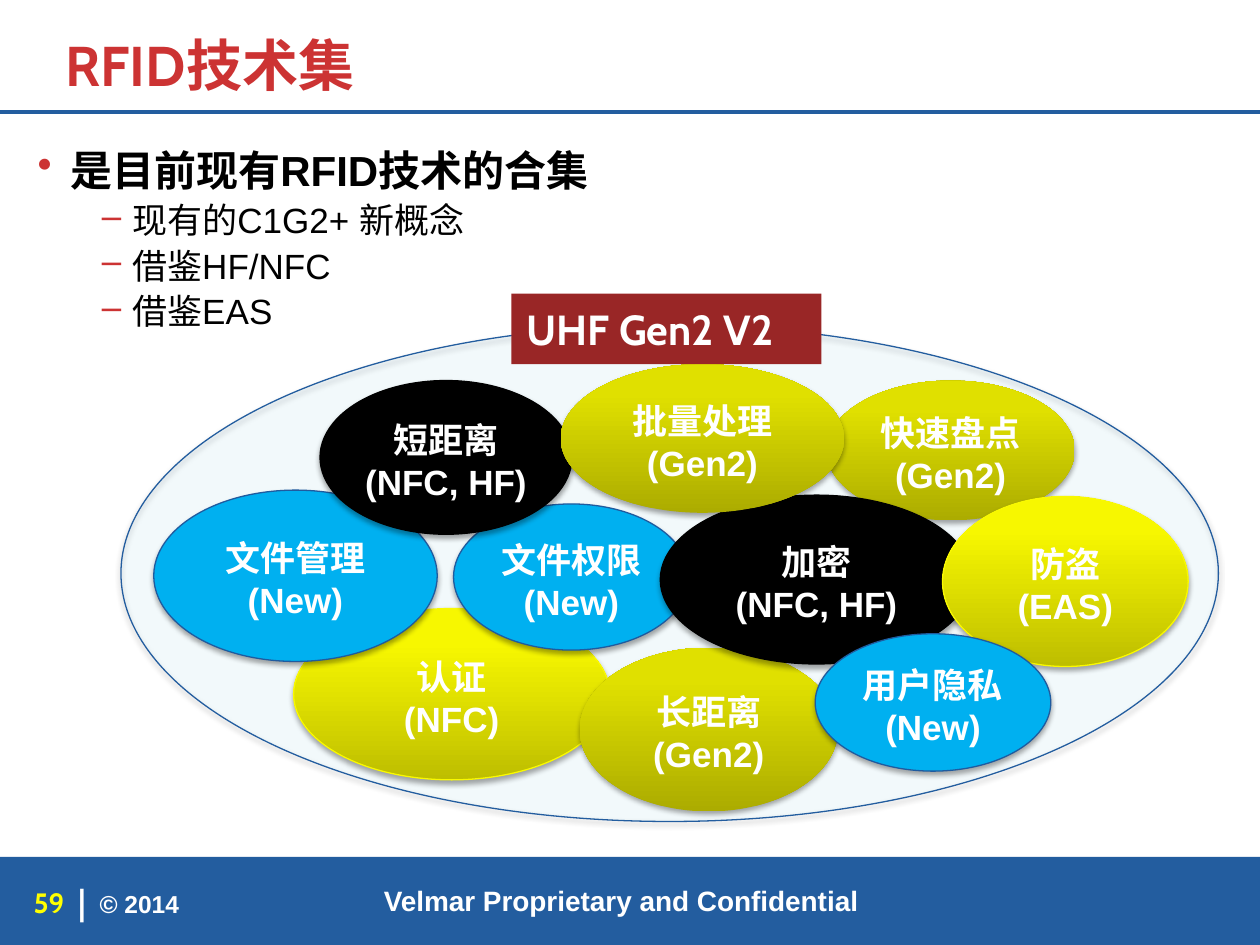
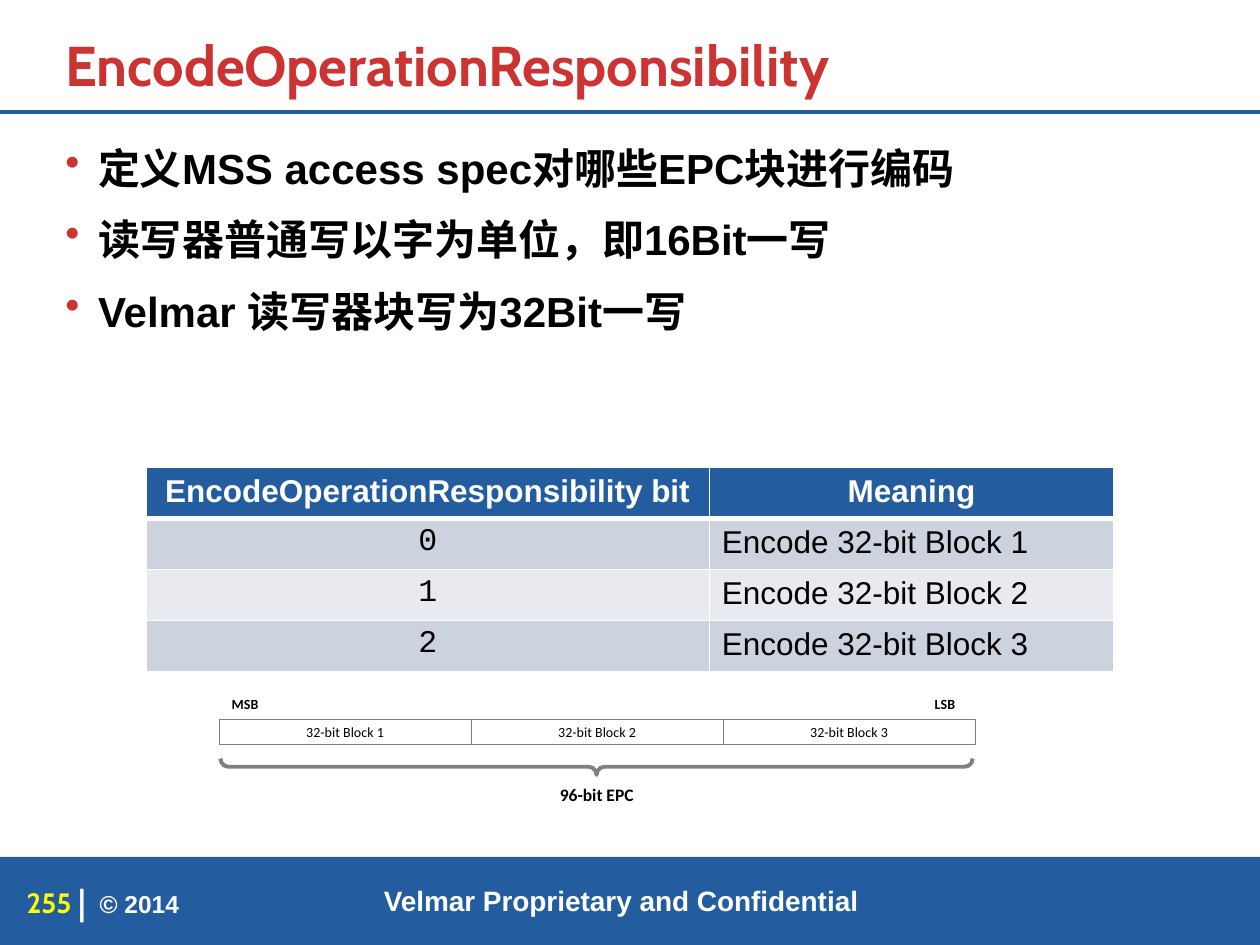
from lxml import etree
from pptx import Presentation
from pptx import util as u
from pptx.dml.color import RGBColor
from pptx.enum import shapes, text
from pptx.oxml import ns

Inches, Pt = u.Inches, u.Pt
SHAPE, ALIGN, ANCHOR = shapes.MSO_SHAPE, text.PP_ALIGN, text.MSO_ANCHOR
C = {
    "blue": "235D9F", "red": "CC3333", "dark_red": "992626", "white": "FFFFFF",
    "black": "000000", "page": "FFFF00", "sky": "00B0F0", "sky_line": "1F5B9F",
    "olive": "E0E000", "olive_low": "ACAC00", "yellow": "F7F700",
    "yellow_low": "BEBE00", "yellow_line": "F9F900", "gray": "808080",
    "row_odd": "CDD2DF", "row_even": "E8EAF0",
}


def sub(parent, tag, **attrs):
    return etree.SubElement(parent, ns.qn(tag), {k: str(v) for k, v in attrs.items()})


def write(sp, lines, size, color, font="Arial", bold=True, align=ALIGN.LEFT,
          anchor=ANCHOR.MIDDLE, insets=(0, 0, 0, 0), wrap=True):
    tf = sp.text_frame
    tf.text = lines
    tf.word_wrap = wrap
    tf.vertical_anchor = anchor
    tf.margin_left, tf.margin_top, tf.margin_right, tf.margin_bottom = map(Inches, insets)
    for p in tf.paragraphs:
        p.alignment = align
        for r in p.runs:
            r.font.size, r.font.name, r.font.bold = Pt(size), font, bold
            r.font.color.rgb = RGBColor.from_string(C[color])
    return tf


prs = Presentation()
prs.slide_width, prs.slide_height = Inches(10), Inches(7.5)
PAD = (0.1, 0.05, 0.1, 0.05)

decks = [
    ("59", "RFID技术集", (0.2, 1.1, 9.48, 1.58), [
        (0, "是目前现有RFID技术的合集"),
        (1, "现有的C1G2+ 新概念"),
        (1, "借鉴HF/NFC"),
        (1, "借鉴EAS"),
    ]),
    ("255", "EncodeOperationResponsibility", (0.42, 1.08, 9.24, 5.58), [
        (0, "定义MSS access spec对哪些EPC块进行编码"),
        (0, "读写器普通写以字为单位，即16Bit一写"),
        (0, "Velmar 读写器块写为32Bit一写"),
    ]),
]
levels = [("•", 0.26, -0.26, 12, 24, True), ("–", 0.75, -0.24, 2, 20, False)]

for number, title, body_box, bullets in decks:
    s = prs.slides.add_slide(prs.slide_layouts[6])
    band = s.shapes.add_shape(SHAPE.RECTANGLE, 0, Inches(6.8), Inches(10), Inches(0.7))
    band.shadow.inherit = False
    band.fill.solid()
    band.fill.fore_color.rgb = RGBColor.from_string(C["blue"])
    band.line.fill.background()

    for box, words, size, color, font, align in [
        ((2.84, 7.01, 4.18, 0.27), "Velmar Proprietary and Confidential", 16, "white", "Arial", ALIGN.CENTER),
        ((0.79, 7.05, 1.67, 0.25), "© 2014", 14, "white", "Arial", ALIGN.LEFT),
        ((0.14, 7.04, 0.5, 0.25), number, 16, "page", "Cabin", ALIGN.CENTER),
        ((0.52, 7.04, 0.26, 0.23), "|", 20, "white", "Cabin", ALIGN.CENTER),
    ]:
        write(s.shapes.add_textbox(*map(Inches, box)), words, size, color, font, align=align)

    rule = s.shapes.add_connector(shapes.MSO_CONNECTOR.STRAIGHT, 0, Inches(0.89), Inches(10), Inches(0.89))
    rule.line.color.rgb = RGBColor.from_string(C["blue"])
    rule.line.width = Pt(2.25)
    sub(rule._element.spPr, "a:effectLst")

    sp = s.shapes.add_textbox(Inches(0.42), Inches(0.04), Inches(9.24), Inches(0.79))
    tf = write(sp, title, 32, "red", "Cabin", anchor=ANCHOR.BOTTOM, insets=PAD)
    tf.paragraphs[0].line_spacing = 0.85

    sp = s.shapes.add_textbox(*map(Inches, body_box))
    tf = write(sp, "\n".join(words for _, words in bullets), 24, "black", anchor=ANCHOR.TOP, insets=PAD)
    for i, (p, (level, _)) in enumerate(zip(tf.paragraphs, bullets)):
        mark, left, indent, before, size, bold = levels[level]
        p.level = level
        p.space_before = Pt(before if i else 0)
        pPr = p._p.get_or_add_pPr()
        pPr.set("marL", str(Inches(left)))
        pPr.set("indent", str(Inches(indent)))
        sub(sub(pPr, "a:buClr"), "a:srgbClr", val=C["red"])
        sub(pPr, "a:buChar", char=mark)
        for r in p.runs:
            r.font.size, r.font.bold = Pt(size), bold

s = prs.slides[0]
kinds = {
    "set": ("sky", None, "blue"),
    "yellow": ("yellow", "yellow_low", "yellow_line"),
    "olive": ("olive", "olive_low", None),
    "sky": ("sky", None, "sky_line"),
    "black": ("black", None, "black"),
}
ovals = [
    ("set", (0.96, 2.58, 8.71, 3.94), ""),
    ("yellow", (2.33, 4.83, 2.51, 1.36), "认证\v(NFC)"),
    ("olive", (4.6, 5.14, 2.05, 1.3), "长距离(Gen2)"),
    ("sky", (1.22, 3.89, 2.25, 1.36), "文件管理(New)"),
    ("sky", (3.6, 4, 1.87, 1.16), "文件权限(New)"),
    ("olive", (6.56, 3.02, 1.97, 1.11), "快速盘点(Gen2)"),
    ("black", (2.54, 3.02, 2, 1.22), "短距离\v(NFC, HF)"),
    ("black", (5.24, 3.93, 2.48, 1.34), "加密\v(NFC, HF)"),
    ("olive", (4.45, 2.89, 2.25, 1.18), "批量处理(Gen2)"),
    ("yellow", (7.48, 3.94, 1.95, 1.35), "防盗\v(EAS)"),
    ("sky", (6.47, 5.03, 1.87, 1.09), "用户隐私(New)"),
]
for kind, box, words in ovals:
    top, low, edge = kinds[kind]
    sp = s.shapes.add_shape(SHAPE.OVAL, *map(Inches, box))
    sp.shadow.inherit = False
    if low:
        sp.fill.gradient()
        sp.fill.gradient_angle = 90
        for stop, color, pos in zip(sp.fill.gradient_stops, (low, top), (0, 0.8)):
            stop.color.rgb = RGBColor.from_string(C[color])
            stop.position = pos
    else:
        sp.fill.solid()
        sp.fill.fore_color.rgb = RGBColor.from_string(C[top])
    if edge:
        sp.line.color.rgb = RGBColor.from_string(C[edge])
        sp.line.width = Pt(0.75)
    else:
        sp.line.fill.background()
    spPr = sp._element.spPr
    shadow = sub(spPr.find(ns.qn("a:effectLst")), "a:outerShdw", blurRad=Pt(3.1), dist=Pt(1.8),
                 dir=5400000, rotWithShape=0)
    sub(sub(shadow, "a:srgbClr", val=C["black"]), "a:alpha", val=35000)
    if words:
        write(sp, words, 20, "white", align=ALIGN.CENTER, insets=(0, 0.05, 0, 0))
    else:
        sub(spPr.find(ns.qn("a:solidFill"))[0], "a:alpha", val=4000)

sp = s.shapes.add_shape(SHAPE.RECTANGLE, Inches(4.06), Inches(2.33), Inches(2.46), Inches(0.56))
sp.shadow.inherit = False
sp.fill.solid()
sp.fill.fore_color.rgb = RGBColor.from_string(C["dark_red"])
sp.line.fill.background()
write(sp, "UHF Gen2 V2", 24, "white", "Cabin", anchor=ANCHOR.TOP, insets=(0.12, 0.08, 0.12, 0.08))

s = prs.slides[1]
rows = [("EncodeOperationResponsibility bit", "Meaning")]
rows += [(str(i), f"Encode 32-bit Block {i + 1}") for i in range(3)]
tbl = s.shapes.add_table(4, 2, Inches(1.16), Inches(3.71), Inches(7.68), Inches(1.62)).table
for col, width in zip(tbl.columns, (4.47, 3.21)):
    col.width = Inches(width)
for i, row in enumerate(rows):
    tbl.rows[i].height = Inches(0.405)
    for j, words in enumerate(row):
        cell = tbl.cell(i, j)
        cell.text = words
        p = cell.text_frame.paragraphs[0]
        p.alignment = ALIGN.CENTER if i == 0 or j == 0 else ALIGN.LEFT
        font = p.runs[0].font
        font.size, font.bold = Pt(18), i == 0
        font.name = "Courier New" if i and j == 0 else "Arial"
        font.color.rgb = RGBColor.from_string(C["black" if i else "white"])
        tcPr = cell._tc.get_or_add_tcPr()
        for side in ("L", "R", "T", "B"):
            heavy = (i, side) in ((0, "B"), (1, "T"))
            ln = sub(tcPr, f"a:ln{side}", w=Pt(3 if heavy else 1))
            sub(sub(ln, "a:solidFill"), "a:srgbClr", val=C["white"])
        cell.fill.solid()
        fill = "blue" if i == 0 else "row_odd" if i % 2 else "row_even"
        cell.fill.fore_color.rgb = RGBColor.from_string(C[fill])

for i in range(3):
    sp = s.shapes.add_shape(SHAPE.RECTANGLE, Inches(1.74 + 2 * i), Inches(5.71), Inches(2), Inches(0.2))
    sp.shadow.inherit = False
    sp.fill.solid()
    sp.fill.fore_color.rgb = RGBColor.from_string(C["white"])
    sp.line.color.rgb = RGBColor.from_string(C["gray"])
    sp.line.width = Pt(0.25)
    write(sp, f"32-bit Block {i + 1}", 8, "black", "Calibri", False, ALIGN.CENTER, insets=PAD, wrap=False)

brace = s.shapes.add_shape(SHAPE.LEFT_BRACE, Inches(4.67), Inches(3.1), Inches(0.13), Inches(5.97))
brace.shadow.inherit = False
brace.rotation = 270
brace.adjustments[0] = 0.48
brace.fill.background()
brace.line.color.rgb = RGBColor.from_string(C["gray"])
brace.line.width = Pt(2.25)

for box, words, size in [
    ((4.34, 6.17, 0.79, 0.27), "96-bit EPC", 10),
    ((1.74, 5.47, 0.41, 0.23), "MSB", 8),
    ((7.32, 5.47, 0.36, 0.23), "LSB", 8),
]:
    sp = s.shapes.add_textbox(*map(Inches, box))
    write(sp, words, size, "black", "Calibri", align=ALIGN.CENTER, anchor=ANCHOR.TOP, insets=PAD, wrap=False)

prs.save("out.pptx")
